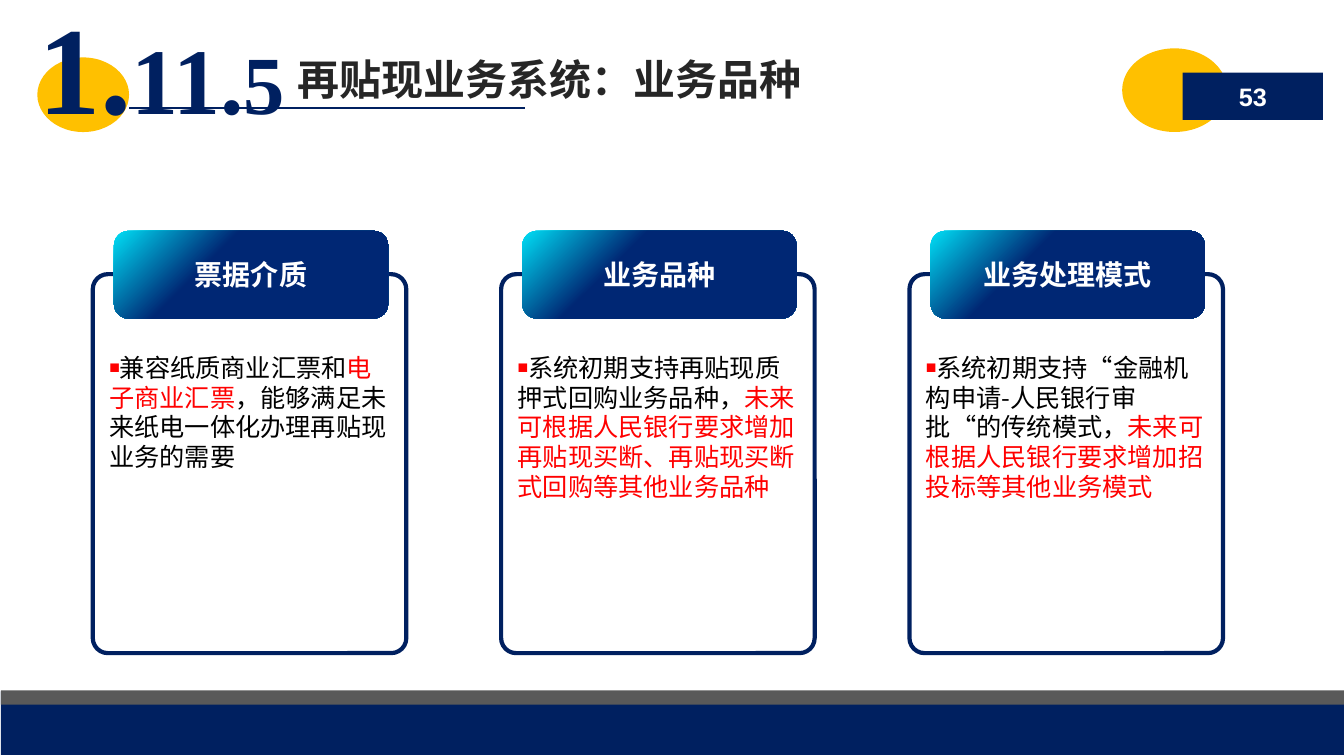
"""Build the slide on rediscount system business varieties."""
from pptx import Presentation
from pptx.dml.color import RGBColor
from pptx.enum.shapes import MSO_CONNECTOR, MSO_SHAPE
from pptx.enum.text import MSO_ANCHOR, PP_ALIGN
from pptx.oxml.ns import qn
from pptx.util import Inches, Pt
from lxml.etree import SubElement

COLORS = {
    "navy": "002060", "gray": "595959", "gold": "FFC000", "title": "262626",
    "white": "FFFFFF", "black": "000000", "red": "FF0000",
    "cyan": "00DFF6", "blue": "002774",
}
CJK = "Noto Sans CJK SC"
TITLE = "再贴现业务系统：业务品种"
SECTION_NUMBER = [("1.", 89), ("11.", 67), ("5", 59)]
PAGE_NUMBER = "53"
CARDS = [
    ("票据介质", [
        ("兼容纸质商业汇票和", "black"),
        ("电子商业汇票", "red"),
        ("，能够满足未来纸电一体化办理再贴现业务的需要", "black")]),
    ("业务品种", [
        ("系统初期支持再贴现质押式回购业务品种，", "black"),
        ("未来可根据人民银行要求增加再贴现买断、再贴现买断式回购等其他业务品种", "red")]),
    ("业务处理模式", [
        ("系统初期支持“金融机构申请-人民银行审批“的传统模式，", "black"),
        ("未来可根据人民银行要求增加招投标等其他业务模式", "red")]),
]
CARD_LEFT, CARD_STEP = 0.92, 4.05


def rgb(name):
    return RGBColor.from_string(COLORS[name])


def add_span(para, text, size, color, font=CJK, bold=False):
    span = para.add_run()
    span.text = text
    span.font.size, span.font.bold, span.font.name = Pt(size), bold, font
    span.font.color.rgb = rgb(color)
    SubElement(span.font._element, qn("a:ea")).set("typeface", font)


def set_frame(box, margins, anchor=MSO_ANCHOR.TOP, align=PP_ALIGN.LEFT):
    frame = box.text_frame
    frame.word_wrap = True
    frame.vertical_anchor = anchor
    (frame.margin_left, frame.margin_top,
     frame.margin_right, frame.margin_bottom) = map(Inches, margins)
    para = frame.paragraphs[0]
    para.alignment = align
    return para


def add_block(page, kind, place, fill):
    block = page.shapes.add_shape(kind, *map(Inches, place))
    block.shadow.inherit = False
    block.fill.solid()
    block.fill.fore_color.rgb = rgb(fill)
    block.line.fill.background()
    return block


def add_bullet(para):
    properties = para._p.get_or_add_pPr()
    properties.set("marL", "0")
    properties.set("indent", "0")
    color = SubElement(properties, qn("a:buClr"))
    SubElement(color, qn("a:srgbClr")).set("val", COLORS["red"])
    SubElement(properties, qn("a:buSzPct")).set("val", "70000")
    SubElement(properties, qn("a:buFont")).set("typeface", "Arial")
    SubElement(properties, qn("a:buChar")).set("char", "■")


def add_card(page, left, heading, spans):
    panel = add_block(page, MSO_SHAPE.ROUNDED_RECTANGLE, (left, 2.72, 3.11, 3.76), "white")
    panel.adjustments[0] = 0.048
    color = panel.fill._xPr.find(qn("a:solidFill"))[0]
    SubElement(color, qn("a:alpha")).set("val", "58000")
    panel.line.color.rgb = rgb("navy")
    panel.line.width = Pt(3)
    para = set_frame(panel, (0.12, 0.73, 0.12, 0.06))
    para.line_spacing = Pt(21.4)
    add_bullet(para)
    for text, shade in spans:
        add_span(para, text, 18, shade)

    header = add_block(page, MSO_SHAPE.ROUNDED_RECTANGLE, (left + 0.21, 2.29, 2.72, 0.87), "blue")
    header.adjustments[0] = 0.167
    header.fill.gradient()
    header.fill.gradient_angle = 315
    for stop, position, shade in zip(header.fill.gradient_stops, (0, 0.35), ("cyan", "blue")):
        stop.position = position
        stop.color.rgb = rgb(shade)
    para = set_frame(header, (0.12, 0.24, 0.12, 0.24), MSO_ANCHOR.MIDDLE, PP_ALIGN.CENTER)
    add_span(para, heading, 20, "white", bold=True)


def add_heading(page):
    add_block(page, MSO_SHAPE.OVAL, (0.37, 0.57, 0.91, 0.74), "gold")
    rule = page.shapes.add_connector(
        MSO_CONNECTOR.STRAIGHT, Inches(1.28), Inches(1.07), Inches(5.21), Inches(1.07))
    rule.line.color.rgb = rgb("navy")
    rule.line.width = Pt(1.5)
    SubElement(rule._element.spPr, qn("a:effectLst"))

    title = page.shapes.title
    title.left, title.top, title.width, title.height = map(Inches, (2.66, 0.48, 7.43, 0.61))
    para = set_frame(title, (0.29, 0.05, 0.1, 0.05), MSO_ANCHOR.MIDDLE)
    add_span(para, TITLE, 30, "title", bold=True)

    add_block(page, MSO_SHAPE.OVAL, (11.13, 0.48, 1.04, 0.83), "gold")
    badge = add_block(page, MSO_SHAPE.RECTANGLE, (11.73, 0.72, 1.39, 0.47), "navy")
    para = set_frame(badge, (0.12, 0.06, 0.12, 0.06), MSO_ANCHOR.MIDDLE, PP_ALIGN.CENTER)
    add_span(para, PAGE_NUMBER, 18, "white", "Arial", True)

    number = page.shapes.add_textbox(*map(Inches, (0.26, -0.16, 2.98, 1.62)))
    para = set_frame(number, (0.12, 0.06, 0.12, 0.06))
    for text, size in SECTION_NUMBER:
        add_span(para, text, size, "navy", "Times New Roman", True)


def main():
    deck = Presentation()
    deck.slide_width, deck.slide_height = Inches(13.33), Inches(7.5)
    page = deck.slides.add_slide(deck.slide_layouts[5])
    add_block(page, MSO_SHAPE.RECTANGLE, (0.01, 6.86, 13.32, 0.63), "navy")
    add_block(page, MSO_SHAPE.RECTANGLE, (0.01, 6.85, 13.32, 0.14), "gray")
    add_heading(page)
    for index, (heading, spans) in enumerate(CARDS):
        add_card(page, CARD_LEFT + index * CARD_STEP, heading, spans)
    deck.save("out.pptx")


if __name__ == "__main__":
    main()
